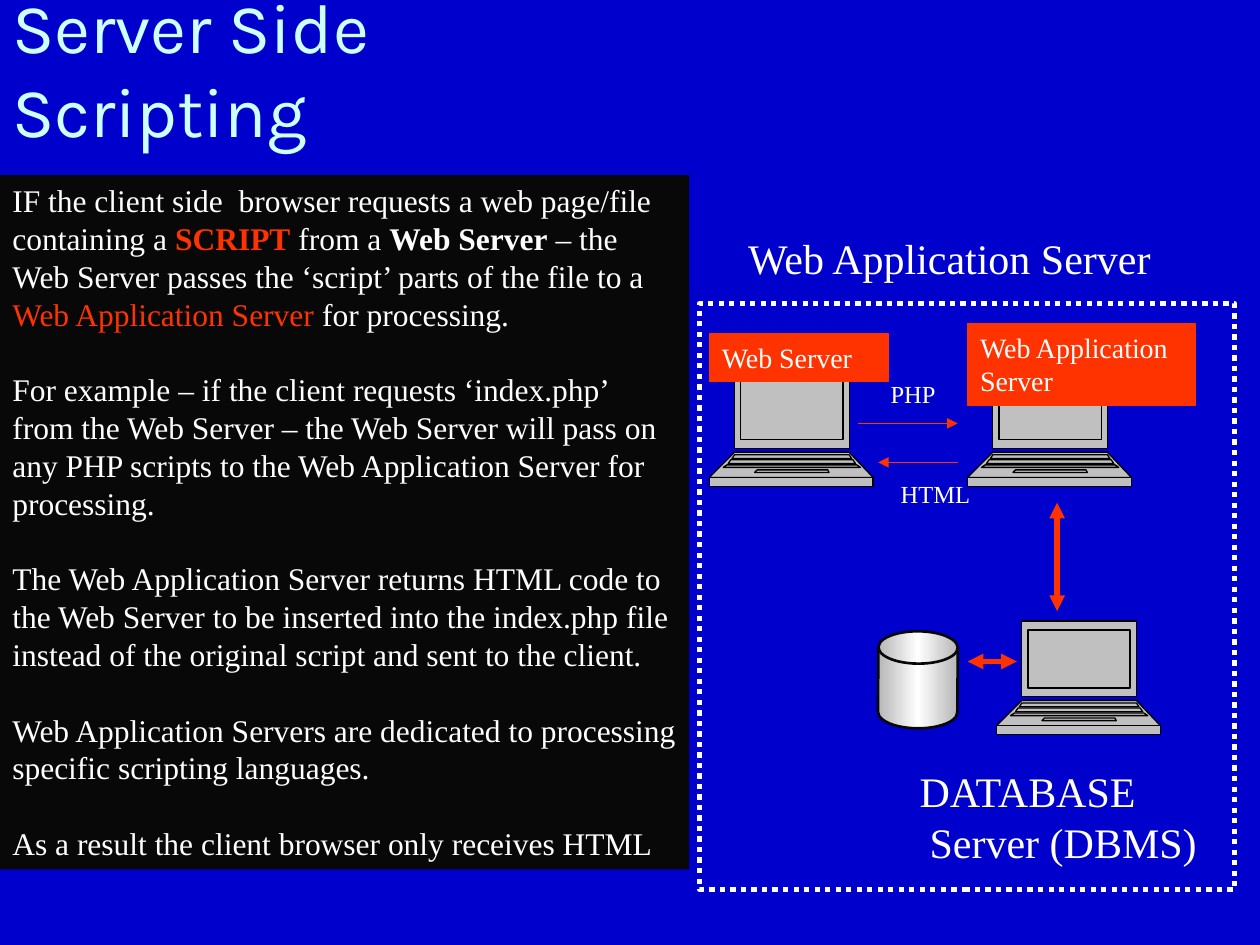
from copy import deepcopy
from lxml.etree import SubElement
from pptx import Presentation
from pptx.dml.color import RGBColor
from pptx.enum.dml import MSO_LINE
from pptx.enum.shapes import MSO_CONNECTOR, MSO_SHAPE
from pptx.enum.text import MSO_ANCHOR, PP_ALIGN
from pptx.oxml.ns import qn
from pptx.util import Inches, Pt

BLUE = RGBColor(0x00, 0x00, 0xCC)
WHITE = RGBColor(0xFF, 0xFF, 0xFF)
PALE = RGBColor(0xCC, 0xFF, 0xFF)
RED = RGBColor(0xFF, 0x33, 0x00)
NEAR_BLACK = RGBColor(0x08, 0x08, 0x08)
BLACK = RGBColor(0x00, 0x00, 0x00)
GREY = RGBColor(0xC0, 0xC0, 0xC0)
STEEL = RGBColor(0xB6, 0xB6, 0xB6)

deck = Presentation()
deck.slide_width, deck.slide_height = Inches(10), Inches(7.5)
page = deck.slides.add_slide(deck.slide_layouts[6])
page.background.fill.solid()
page.background.fill.fore_color.rgb = BLUE


def write(para, text, size=18, color=WHITE, bold=False, font="Times New Roman"):
    para.alignment = PP_ALIGN.LEFT
    para.line_spacing = Pt(size * 1.2)
    span = para.add_run()
    span.text = text
    span.font.name = font
    span.font.size = Pt(size)
    span.font.bold = bold
    span.font.color.rgb = color


def add_panel(place, fill=None, line=None, width=0.75):
    panel = page.shapes.add_shape(MSO_SHAPE.RECTANGLE, *map(Inches, place))
    panel.shadow.inherit = False
    if fill is None:
        panel.fill.background()
    else:
        panel.fill.solid()
        panel.fill.fore_color.rgb = fill
    if line is None:
        panel.line.fill.background()
    else:
        panel.line.color.rgb = line
        panel.line.width = Pt(width)
    panel.text_frame.word_wrap = True
    panel.text_frame.vertical_anchor = MSO_ANCHOR.TOP
    return panel


frame = add_panel((5.55, 2.41, 4.25, 4.65), line=WHITE, width=3)
frame.line.dash_style = MSO_LINE.ROUND_DOT

title = page.shapes.add_textbox(0, 0, Inches(5.46), Inches(1.25))
title.text_frame.word_wrap = True
title.text_frame.vertical_anchor = MSO_ANCHOR.BOTTOM
title.text_frame.margin_right = Inches(0.5)
write(title.text_frame.paragraphs[0], "Server Side Scripting", size=40, color=PALE, font="Karla")

LAPTOP_OUTLINES = [
    [(20, 0), (111, 0), (111, 60), (20, 60)],
    [(20, 63), (0, 83), (130, 83), (111, 63)],
    [(0, 83), (0, 90), (130, 90), (130, 83)],
    [(25, 7), (106, 7), (106, 53), (25, 53)],
    [(20, 65), (18, 68), (113, 68), (111, 65)],
    [(38, 77), (36, 79), (95, 79), (94, 77)],
    [(17, 69), (15, 72), (116, 72), (114, 69)],
    [(14, 73), (11, 75), (120, 75), (117, 73)],
]
for left, top in [(5.63, 2.96), (7.68, 2.96), (7.91, 4.93)]:
    builder = page.shapes.build_freeform(*LAPTOP_OUTLINES[0][0], scale=Inches(0.01))
    for number, (start, *corners) in enumerate(LAPTOP_OUTLINES):
        if number:
            builder.move_to(*start)
        builder.add_line_segments(corners, close=True)
    laptop = builder.convert_to_shape(Inches(left), Inches(top))
    laptop.shadow.inherit = False
    laptop.fill.solid()
    laptop.fill.fore_color.rgb = GREY
    laptop.line.color.rgb = BLACK
    laptop.line.width = Pt(0.75)
    outlines = laptop._element.spPr.find(".//" + qn("a:pathLst"))
    joined = outlines[0]
    for step in list(joined):
        if step.tag == qn("a:moveTo"):
            outline = SubElement(outlines, qn("a:path"), dict(joined.attrib))
        outline.append(step)
    outlines.remove(joined)

for text, place in [
    ("Web Application Server", (7.68, 2.57, 1.81, 0.65)),
    ("Web Server", (5.63, 2.65, 1.42, 0.38)),
]:
    tag = add_panel(place, fill=RED, line=RED)
    write(tag.text_frame.paragraphs[0], text, size=16)

drum = page.shapes.add_shape(
    MSO_SHAPE.FLOWCHART_DIRECT_ACCESS_STORAGE, Inches(6.9), Inches(5.08), Inches(0.77), Inches(0.63)
)
drum.rotation = 270.4
drum.shadow.inherit = False
drum.line.color.rgb = NEAR_BLACK
drum.line.width = Pt(1.5)
drum.fill.gradient()
drum.fill.gradient_angle = 0
gradient = drum._element.spPr.find(qn("a:gradFill"))
gradient.set("rotWithShape", "0")
stops = gradient.find(qn("a:gsLst"))
stops.insert(1, deepcopy(stops[0]))
stops[1].set("pos", "50000")
for stop, color in zip(drum.fill.gradient_stops, (STEEL, WHITE, STEEL)):
    stop.color.rgb = color

for start, end, width, ends in [
    ((7.68, 5.25), (8.07, 5.25), 3, ("headEnd", "tailEnd")),
    ((8.39, 3.99), (8.39, 4.85), 3, ("headEnd", "tailEnd")),
    ((6.81, 3.36), (7.6, 3.36), 0.75, ("tailEnd",)),
    ((7.6, 3.67), (6.97, 3.67), 0.75, ("tailEnd",)),
]:
    arrow = page.shapes.add_connector(MSO_CONNECTOR.STRAIGHT, *map(Inches, start + end))
    arrow.line.color.rgb = RED
    arrow.line.width = Pt(width)
    for name in ends:
        SubElement(arrow.line._get_or_add_ln(), qn("a:" + name), type="triangle")
    SubElement(arrow._element.spPr, qn("a:effectLst"))

STORY = [
    [
        ("IF the client side  browser requests a web page/file containing a ", {}),
        ("SCRIPT", {"color": RED, "bold": True}),
        (" from a ", {}),
        ("Web Server", {"bold": True}),
        (" – the Web Server passes the ‘script’ parts of the file to a ", {}),
        ("Web Application Server", {"color": RED}),
        (" for processing.", {}),
    ],
    [("For example – if the client requests ‘index.php’ from the Web Server – the Web Server "
      "will pass on any PHP scripts to the Web Application Server for processing.", {})],
    [("The Web Application Server returns HTML code to the Web Server to be inserted into the "
      "index.php file instead of the original script and sent to the client.", {})],
    [("Web Application Servers are dedicated to processing specific scripting languages.", {})],
    [("As a result the client browser only receives HTML", {})],
]
story = add_panel((0, 1.39, 5.47, 5.51), fill=NEAR_BLACK).text_frame
for number, spans in enumerate(STORY):
    para = story.add_paragraph() if number else story.paragraphs[0]
    if number:
        para.space_before = Pt(21.6)
    for text, style in spans:
        write(para, text, **style)

for lines, size, place in [
    (["DATABASE", "Server (DBMS)"], 24, (7.2, 6.03, 2.41, 0.9)),
    (["Web Application Server"], 24, (5.84, 1.8, 3.44, 0.5)),
    (["PHP"], 14, (6.97, 2.96, 0.56, 0.33)),
    (["HTML"], 14, (7.05, 3.75, 0.75, 0.33)),
]:
    label = page.shapes.add_textbox(*map(Inches, place)).text_frame
    label.word_wrap = False
    for number, text in enumerate(lines):
        para = label.add_paragraph() if number else label.paragraphs[0]
        if number:
            para._p.get_or_add_pPr().set("marL", str(Inches(0.08)))
        write(para, text, size=size)

deck.save("out.pptx")
